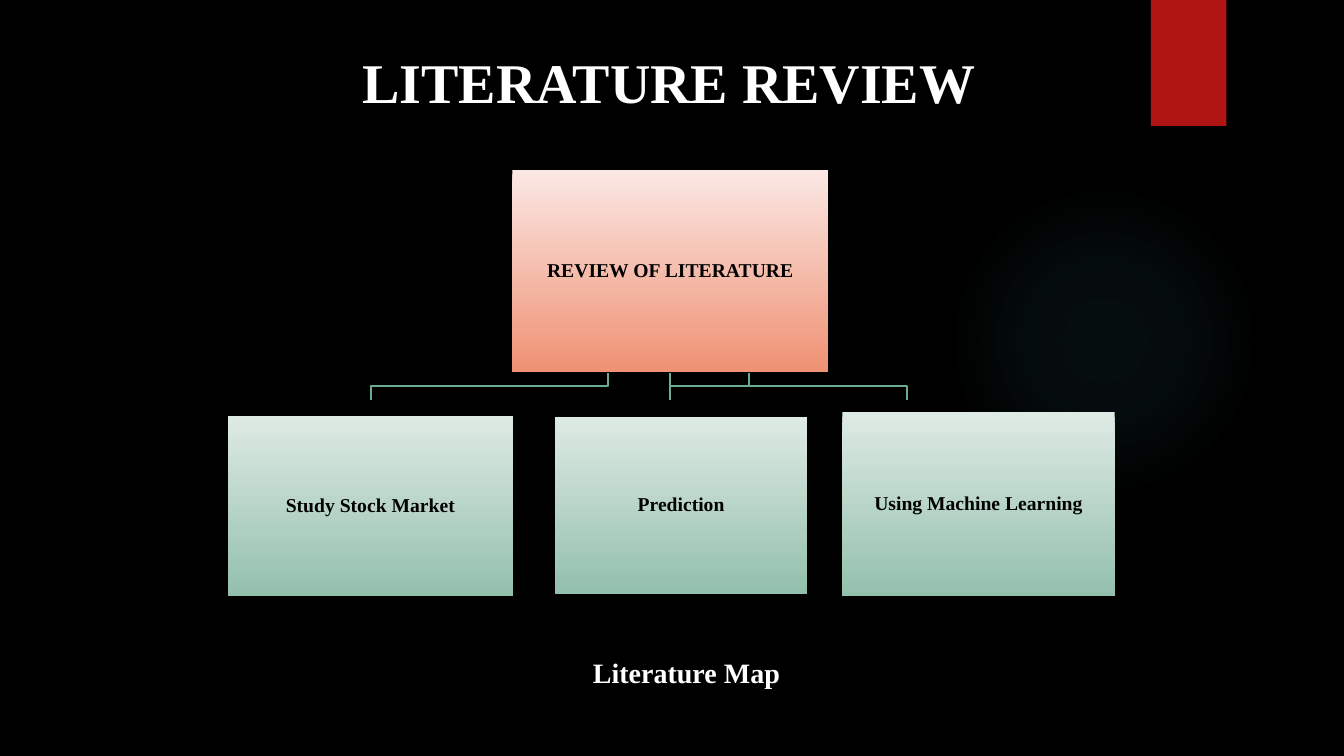
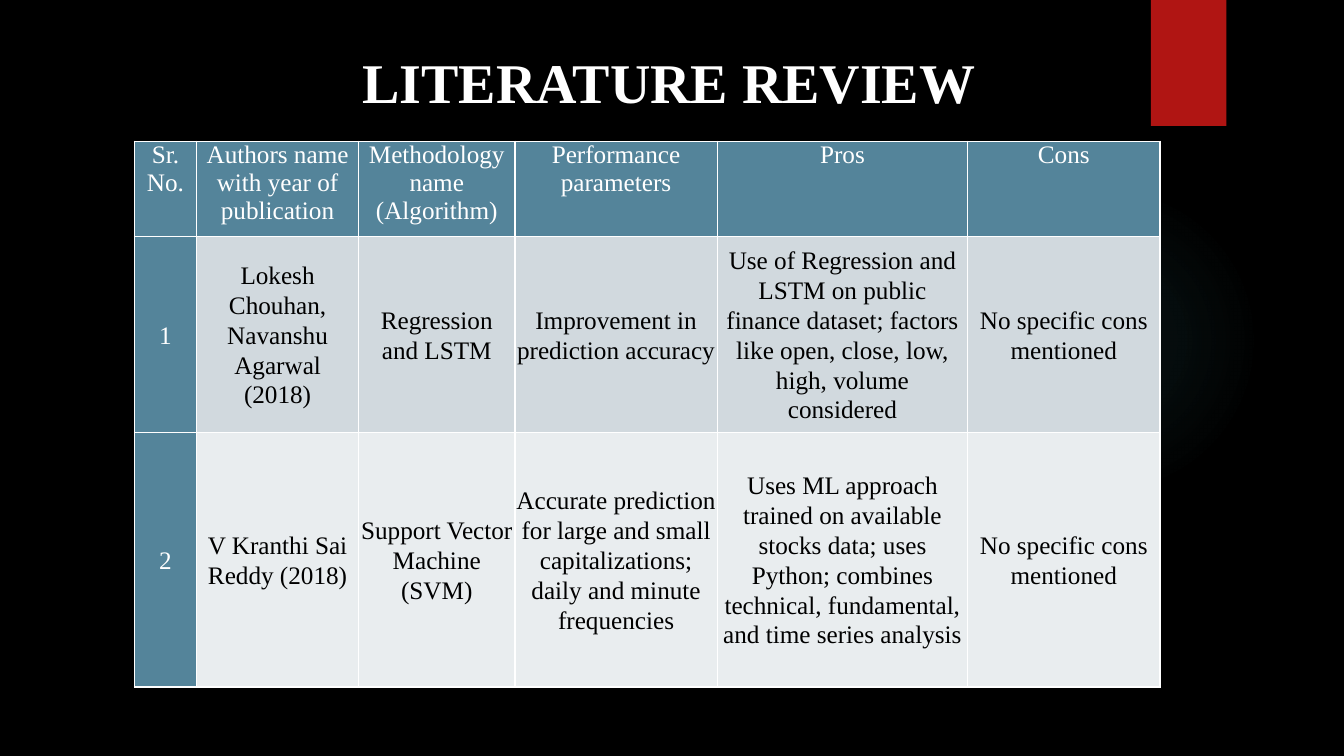
from typing import NamedTuple

from pptx import Presentation, oxml
from pptx import util as u
from pptx.dml.color import RGBColor
from pptx.enum import shapes as es, text as et
from pptx.oxml import ns

CELL = u.Inches(1) / 12  # the slide is a grid of 160 x 90 cells
FONT = "Times New Roman"
BLACK, WHITE, RED, GLOW, WIRE = "000000", "FFFFFF", "B01513", "50B9C1", "6AAC90"
PEACH, MINT = ("FBE8E4", "EF9173"), ("DEEAE4", "93C0AC")
HEAD, BANDS = "54849A", ("D1D9DE", "E9EDEF")
HEADING = "LITERATURE REVIEW"


class Box(NamedTuple):
    x: float
    y: float
    w: float
    h: float


class Node(NamedTuple):
    label: str
    box: Box
    tones: tuple[str, str]


class Wire(NamedTuple):
    start: float
    end: float


TITLE = Box(41.6, 1, 76.1, 11.9)
NODES = (
    Node("REVIEW OF LITERATURE", Box(61, 20.25, 37.6, 24.1), PEACH),
    Node("Study Stock Market", Box(27.1, 49.5, 34, 21.4), MINT),
    Node("Prediction", Box(66.1, 49.6, 30, 21.1), MINT),
    Node("Using Machine Learning", Box(100.3, 49.1, 32.4, 21.9), MINT),
)
WIRES = (Wire(79.8, 108), Wire(89.2, 79.8), Wire(72.4, 44.2))
WIRE_TOP, WIRE_STEP = 44.4, 1.6

COLS = (7.4, 19.3, 18.6, 24.1, 29.8, 22.9)
ROWS = (11.4, 23.3, 30.3)
TABLE = Box(16, 16.8, sum(COLS), sum(ROWS))
PAPERS = (
    ("Sr. No.", "Authors name with year of publication",
     "Methodology name (Algorithm)", "Performance parameters", "Pros", "Cons"),
    ("1", "Lokesh Chouhan, Navanshu Agarwal (2018)", "Regression and LSTM",
     "Improvement in prediction accuracy",
     "Use of Regression and LSTM on public finance dataset; factors like "
     "open, close, low, high, volume considered",
     "No specific cons mentioned"),
    ("2", "V Kranthi Sai Reddy (2018)", "Support Vector Machine (SVM)",
     "Accurate prediction for large and small capitalizations; "
     "daily and minute frequencies",
     "Uses ML approach trained on available stocks data; uses Python; "
     "combines technical, fundamental, and time series analysis",
     "No specific cons mentioned"),
)


def emu(cells: float) -> u.Emu:
    return u.Emu(round(cells * CELL))


def place(box: Box) -> list[u.Emu]:
    return [emu(side) for side in box]


def rgb(tone: str) -> RGBColor:
    return RGBColor.from_string(tone)


def write(frame, words: str, size: float, tone: str, bold: bool = True,
          align=et.PP_ALIGN.CENTER, gap: float = 1.0):
    """Fill a text frame with one styled paragraph and return it."""
    frame.text = words
    para = frame.paragraphs[0]
    para.alignment, para.line_spacing = align, gap
    for run in para.runs:
        font = run.font
        font.name, font.size, font.bold = FONT, u.Pt(size), bold
        font.color.rgb = rgb(tone)
    return para


def inset(item, side: float, edge: float) -> None:
    item.margin_left = item.margin_right = u.Inches(side)
    item.margin_top = item.margin_bottom = u.Inches(edge)


def shape(slide, kind, box: Box):
    form = slide.shapes.add_shape(kind, *place(box))
    form.shadow.inherit = False
    form.line.fill.background()
    return form


def shine(form) -> None:
    """Give a shape a faint glow that fades from its centre."""
    stops = "".join(
        f'<a:gs pos="{pos}000"><a:srgbClr val="{GLOW}">'
        f'<a:alpha val="{alpha}000"/></a:srgbClr></a:gs>'
        for pos, alpha in ((0, 7), (36, 6), (69, 0)))
    form.fill.background()
    blank = form.element.spPr.find(ns.qn("a:noFill"))
    blank.getparent().replace(blank, oxml.parse_xml(
        f'<a:gradFill {ns.nsdecls("a")} rotWithShape="1">'
        f'<a:gsLst>{stops}</a:gsLst><a:path path="circle">'
        '<a:fillToRect l="50000" t="50000" r="50000" b="50000"/>'
        '</a:path></a:gradFill>'))


def theme(deck, layout, slide) -> None:
    """Set the backdrop and title place, and move the decor to the layout."""
    back = deck.slide_master.background.fill
    back.solid()
    back.fore_color.rgb = rgb(BLACK)
    title = layout.placeholders[0]
    title.left, title.top, title.width, title.height = place(TITLE)
    glow = shape(slide, es.MSO_SHAPE.OVAL, Box(112.9, 22, 37, 37))
    shine(glow)
    tab = shape(slide, es.MSO_SHAPE.RECTANGLE, Box(137, 0, 9, 15))
    tab.fill.solid()
    tab.fill.fore_color.rgb = rgb(RED)
    for step, form in enumerate((glow, tab)):
        form.element.xpath(".//p:cNvPr")[0].set("id", str(100 + step))
        layout.shapes.element.insert(2 + step, form.element)


def head(slide) -> None:
    frame = slide.shapes.title.text_frame
    para = write(frame, HEADING, 40, WHITE, gap=1.5)
    para.space_after = u.Pt(10)
    frame.word_wrap = False
    frame.auto_size = et.MSO_AUTO_SIZE.NONE
    frame.vertical_anchor = et.MSO_ANCHOR.TOP


def link(slide, wire: Wire) -> None:
    mid, low = WIRE_TOP + WIRE_STEP, WIRE_TOP + 2 * WIRE_STEP
    pen = slide.shapes.build_freeform(emu(wire.start), emu(WIRE_TOP))
    turns = (wire.start, mid), (wire.end, mid), (wire.end, low)
    pen.add_line_segments([(emu(x), emu(y)) for x, y in turns], close=False)
    line = pen.convert_to_shape()
    line.shadow.inherit = False
    line.fill.background()
    line.line.color.rgb = rgb(WIRE)
    line.line.width = u.Pt(1.5)


def card(slide, node: Node) -> None:
    form = shape(slide, es.MSO_SHAPE.RECTANGLE, node.box)
    form.fill.gradient()
    form.fill.gradient_angle = 270
    for stop, tone in zip(form.fill.gradient_stops, node.tones):
        stop.color.rgb = rgb(tone)
    frame = form.text_frame
    frame.word_wrap = True
    frame.vertical_anchor = et.MSO_ANCHOR.MIDDLE
    inset(frame, 0.01, 0.01)
    write(frame, node.label, 14, BLACK, gap=0.9)


def chart_map(slide) -> None:
    for wire in WIRES:
        link(slide, wire)
    for node in NODES:
        card(slide, node)
    note = slide.shapes.add_textbox(*place(Box(69.4, 77.5, 24.8, 5.3)))
    note.text_frame.word_wrap = False
    write(note.text_frame, "Literature Map", 20, WHITE,
          align=et.PP_ALIGN.LEFT)


def rule(cell) -> None:
    """Draw thin white borders round a table cell."""
    props = cell._tc.get_or_add_tcPr()
    for spot, side in enumerate("LRTB"):
        props.insert(spot, oxml.parse_xml(
            f'<a:ln{side} {ns.nsdecls("a")} w="{u.Pt(1)}"><a:solidFill>'
            f'<a:srgbClr val="{WHITE}"/></a:solidFill></a:ln{side}>'))


def fill(cell, words: str, row: int, col: int) -> None:
    top, edge = row == 0, row == 0 or col == 0
    cell.fill.solid()
    cell.fill.fore_color.rgb = rgb(HEAD if edge else BANDS[row - 1])
    cell.vertical_anchor = et.MSO_ANCHOR.TOP if top else et.MSO_ANCHOR.MIDDLE
    inset(cell, *((0.05, 0) if top else (0.01, 0.01)))
    write(cell.text_frame, words, 18, WHITE if edge else BLACK, bold=False,
          gap=1.0 if top else 1.07)
    rule(cell)


def grid(slide) -> None:
    table = slide.shapes.add_table(len(ROWS), len(COLS), *place(TABLE)).table
    for col, width in zip(table.columns, COLS):
        col.width = emu(width)
    for row, height in zip(table.rows, ROWS):
        row.height = emu(height)
    for r, paper in enumerate(PAPERS):
        for c, words in enumerate(paper):
            fill(table.cell(r, c), words, r, c)


def main() -> None:
    deck = Presentation()
    deck.slide_width, deck.slide_height = emu(160), emu(90)
    layout = deck.slide_layouts[5]
    pages = [deck.slides.add_slide(layout) for _ in range(2)]
    theme(deck, layout, pages[0])
    for page, draw in zip(pages, (chart_map, grid)):
        head(page)
        draw(page)
    deck.save("out.pptx")


if __name__ == "__main__":
    main()
